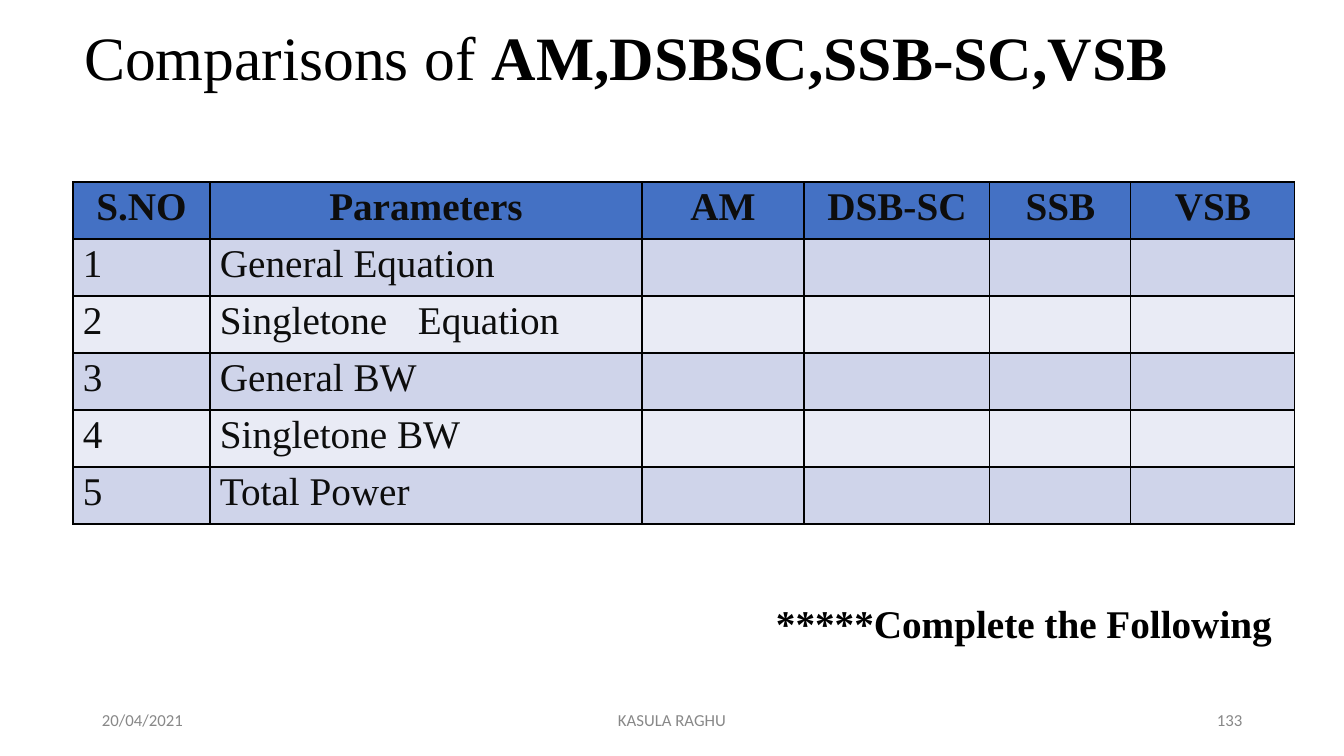
from lxml import etree
from pptx import Presentation
from pptx.dml.color import RGBColor
from pptx.enum.text import MSO_ANCHOR, PP_ALIGN
from pptx.oxml.ns import qn
from pptx.util import Pt

# Content
SERIF, SANS = "Times New Roman", "Calibri"
HEADERS = ["S.NO", "Parameters", "AM", "DSB-SC", "SSB", "VSB"]
PARAMETERS = ["General Equation", "Singletone\tEquation", "General BW",
              "Singletone BW", "Total Power"]
COL_WIDTHS = [137, 432, 162, 186, 141, 164]
TABLE_LEFT, TABLE_TOP, ROW_HEIGHT = 73, 182, 57
CELL_TOP, CELL_INDENT, TAB_STOP = 4, 10, 198
HEADER_FILL, ROW_FILLS = "4471C4", ["CFD4EA", "E9EBF5"]

# left, top, width, height, runs (text, bold), size, font, color, space before, line spacing
TEXTS = [
    (84, 18, 1086, 77, [("Comparisons of ", False), ("AM,DSBSC,SSB-SC,VSB", True)],
     44, SERIF, "000000", 0.9, None),
    (776, 598, 500, 50, [("*****Complete the Following", True)],
     28, SERIF, "000000", 1.1, None),
    (102, 713, 83, 19, [("20/04/2021", False)], 12, SANS, "888888", 0, 12.4),
    (618, 713, 112, 19, [("KASULA RAGHU", False)], 12, SANS, "888888", 0, 12.4),
    (1217, 713, 33, 19, [("133", False)], 12, SANS, "888888", 0, 12.4),
]


def px(n):
    return round(n * 914400 / 100.8)


def rgb(color):
    return RGBColor.from_string(color)


def style(r, size, font, color, bold):
    r.font.size, r.font.name, r.font.bold = Pt(size), font, bold
    r.font.color.rgb = rgb(color)


def add_borders(cell):
    tcPr = cell._tc.get_or_add_tcPr()
    for i, side in enumerate(("lnL", "lnR", "lnT", "lnB")):
        ln = etree.Element(qn("a:" + side), w=str(Pt(1)))
        fill = etree.SubElement(ln, qn("a:solidFill"))
        etree.SubElement(fill, qn("a:srgbClr"), val="000000")
        tcPr.insert(i, ln)


def add_tab_stop(p, position):
    tabs = etree.SubElement(p._p.get_or_add_pPr(), qn("a:tabLst"))
    etree.SubElement(tabs, qn("a:tab"), pos=str(px(position)), algn="l")


prs = Presentation()
prs.slide_width, prs.slide_height = px(1344), px(756)
s = prs.slides.add_slide(prs.slide_layouts[6])

# Title, note and footer
for left, top, width, height, runs, size, font, color, before, spacing in TEXTS:
    tf = s.shapes.add_textbox(px(left), px(top), px(width), px(height)).text_frame
    tf.word_wrap = True
    tf.margin_left = tf.margin_right = tf.margin_bottom = 0
    tf.margin_top = 0 if spacing else px(1)
    p = tf.paragraphs[0]
    p.space_before = Pt(before)
    if spacing:
        p.line_spacing = Pt(spacing)
    for text, bold in runs:
        r = p.add_run()
        r.text = text
        style(r, size, font, color, bold)

# Comparison table
rows = [HEADERS] + [[str(n), name] + [""] * 4 for n, name in enumerate(PARAMETERS, 1)]
table = s.shapes.add_table(len(rows), len(HEADERS), px(TABLE_LEFT), px(TABLE_TOP),
                           px(sum(COL_WIDTHS)), px(ROW_HEIGHT * len(rows))).table
for column, width in zip(table.columns, COL_WIDTHS):
    column.width = px(width)
for i, row in enumerate(rows):
    table.rows[i].height = px(ROW_HEIGHT)
    is_header = i == 0
    for j, text in enumerate(row):
        cell = table.cell(i, j)
        cell.fill.solid()
        cell.fill.fore_color.rgb = rgb(HEADER_FILL if is_header else ROW_FILLS[(i - 1) % 2])
        add_borders(cell)
        cell.margin_left = 0 if is_header else px(CELL_INDENT)
        cell.margin_right = cell.margin_bottom = 0
        cell.margin_top = px(CELL_TOP)
        cell.vertical_anchor = MSO_ANCHOR.TOP
        p = cell.text_frame.paragraphs[0]
        p.text = text
        p.space_before = Pt(2.8)
        p.alignment = PP_ALIGN.CENTER if is_header else PP_ALIGN.LEFT
        if "\t" in text:
            add_tab_stop(p, TAB_STOP)
        for r in p.runs:
            style(r, 28, SERIF, "0D0D0D", is_header)

prs.save("out.pptx")
